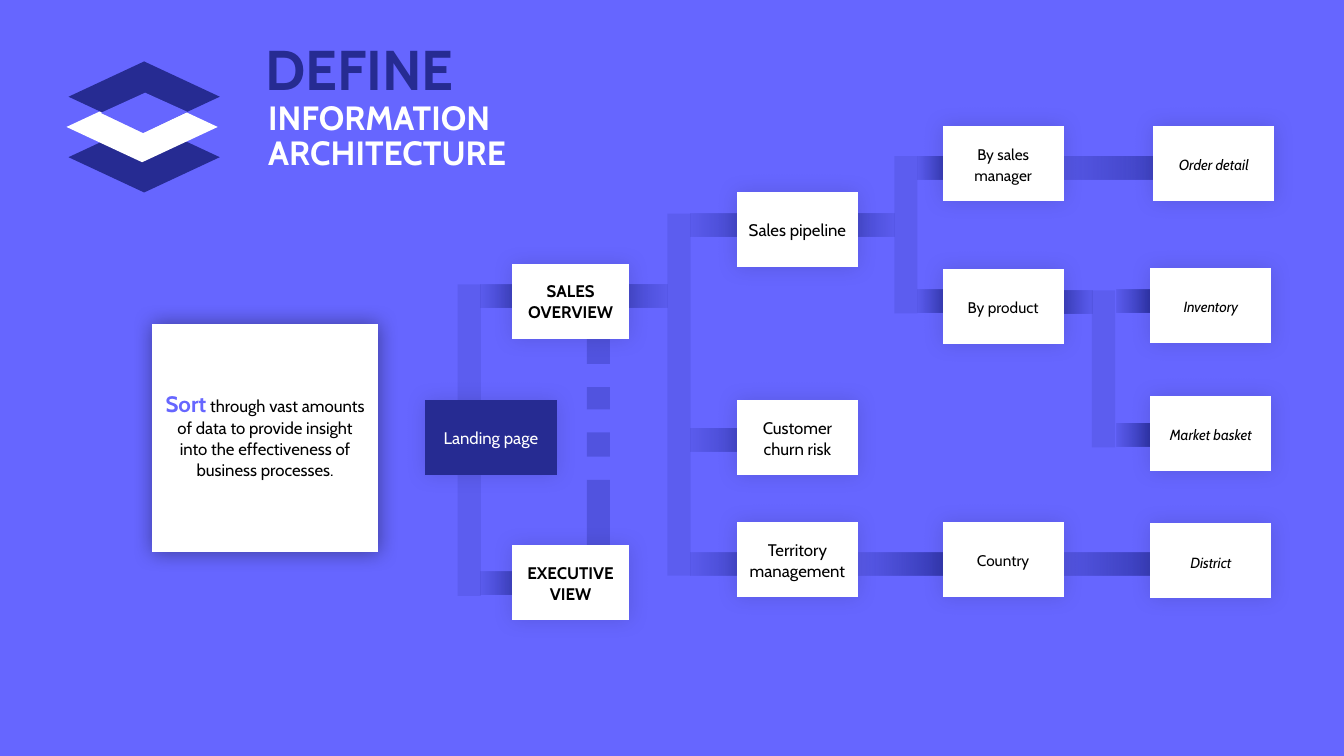
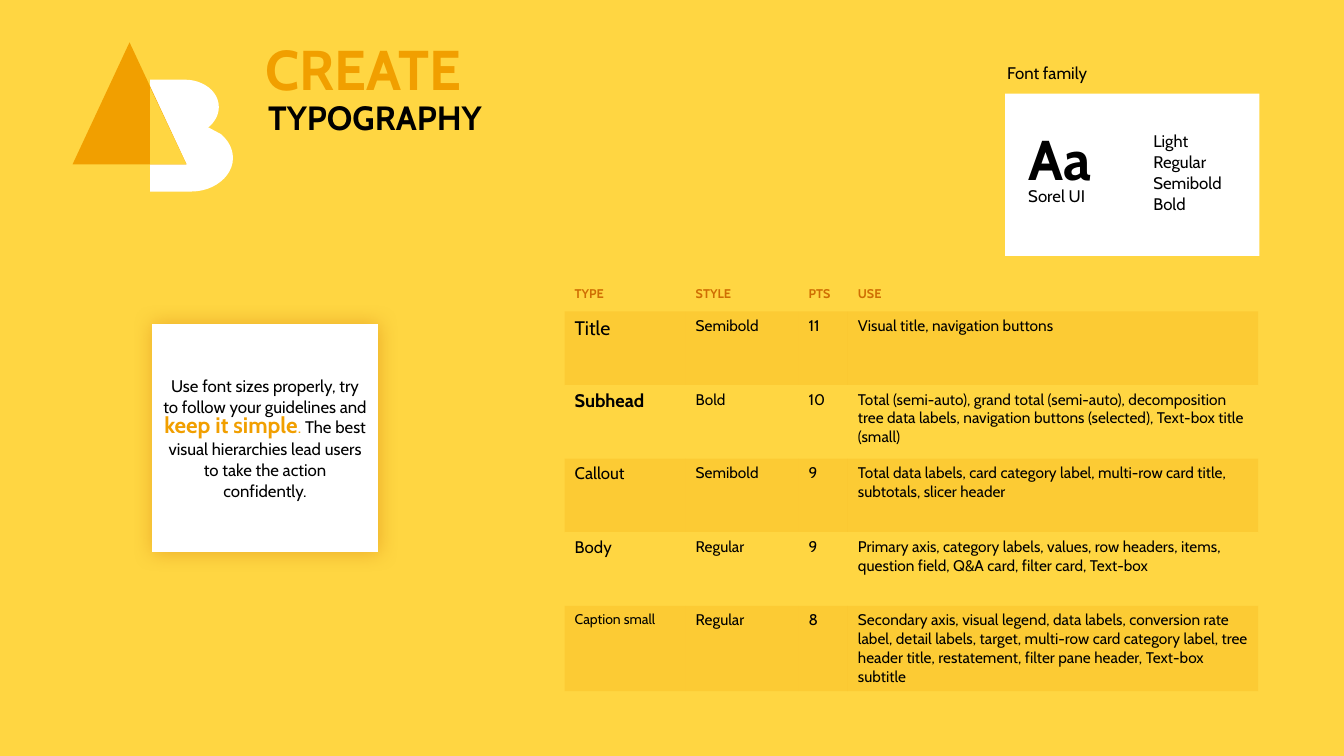
from lxml import etree
from pptx import Presentation
from pptx import util as u
from pptx.dml.color import RGBColor
from pptx.enum import shapes, text
from pptx.oxml import ns

PX = u.Inches(1) // 100
FONT = "Cabin"
NO_STYLE = "{2D5ABB26-0587-4C30-8999-92F81FD0307C}"

WHITE = RGBColor(0xFF, 0xFF, 0xFF)
BLACK = RGBColor(0x00, 0x00, 0x00)
VIOLET = RGBColor(0x66, 0x66, 0xFF)
NAVY = RGBColor(0x26, 0x2B, 0x92)
INDIGO = RGBColor(0x32, 0x37, 0xAE)
YELLOW = RGBColor(0xFF, 0xD6, 0x42)
ORANGE = RGBColor(0xF1, 0x9F, 0x00)
RUST = RGBColor(0xCF, 0x6E, 0x03)

PRESET = shapes.MSO_SHAPE
ALIGN = text.PP_ALIGN
ANCHOR = text.MSO_ANCHOR

BOX_WIDTH, BOX_HEIGHT, BAR = 120, 74, 23


def add_child(parent, tag, **attributes):
    child = etree.SubElement(parent, ns.qn(tag))
    for name, value in attributes.items():
        child.set(name, str(value))
    return child


def set_alpha(colour_element, percent):
    add_child(colour_element, "a:alpha", val=percent * 1000)


def flatten(start, segments, steps=12):
    """Turn lines (x, y) and cubic curves (x1, y1, x2, y2, x, y) into points."""
    points = [start]
    for segment in segments:
        if len(segment) == 2:
            points.append(segment)
            continue
        x0, y0 = points[-1]
        x1, y1, x2, y2, x3, y3 = segment
        for step in range(1, steps + 1):
            t = step / steps
            s = 1 - t
            weights = s ** 3, 3 * s * s * t, 3 * s * t * t, t ** 3
            points.append(tuple(sum(w * v for w, v in zip(weights, values))
                                for values in ((x0, x1, x2, x3), (y0, y1, y2, y3))))
    return points


class Painter:
    """Holds the deck, its style and the page being drawn."""

    def __init__(self):
        self.deck = Presentation()
        self.deck.slide_width, self.deck.slide_height = 1333 * PX, 750 * PX
        self.page = None

    def start_page(self, background, title, title_colour, subtitle, subtitle_colour):
        self.page = self.deck.slides.add_slide(self.deck.slide_layouts[0])
        self.page.background.fill.solid()
        self.page.background.fill.fore_color.rgb = background
        heading, subheading = self.page.placeholders
        self.place(heading, 253, 3, 337, 129)
        self.set_words(heading, title, 40, title_colour, bold=True, spacing=None)
        self.place(subheading, 256, 96, 290, 80)
        self.set_words(subheading, subtitle, 24, subtitle_colour, bold=True,
                       spacing=25, anchor=ANCHOR.TOP)

    def place(self, shape, x, y, width, height):
        shape.left, shape.top = x * PX, y * PX
        shape.width, shape.height = width * PX, height * PX

    def style(self, para, size, colour, bold=False, italic=False):
        font = para.font
        font.name, font.size, font.color.rgb = FONT, u.Pt(size), colour
        font.bold, font.italic = bold, italic

    def set_words(self, shape, words, size, colour, bold=False, italic=False,
                  align=ALIGN.LEFT, spacing=15, anchor=ANCHOR.MIDDLE):
        frame = shape.text_frame
        frame.word_wrap, frame.auto_size = True, text.MSO_AUTO_SIZE.NONE
        frame.vertical_anchor = anchor
        frame.text = words
        for para in frame.paragraphs:
            para.alignment, para.space_before = align, u.Pt(0)
            if spacing:
                para.line_spacing = u.Pt(spacing)
            self.style(para, size, colour, bold, italic)

    def finish(self, shape, fill):
        """Give a flat fill without line or shadow."""
        shape.shadow.inherit = False
        shape.line.fill.background()
        shape.fill.solid()
        shape.fill.fore_color.rgb = fill
        return shape

    def shape(self, preset, x, y, width, height, fill):
        return self.finish(self.page.shapes.add_shape(
            preset, x * PX, y * PX, width * PX, height * PX), fill)

    def outline(self, fill, start, *segments):
        points = [(x * PX, y * PX) for x, y in flatten(start, segments)]
        builder = self.page.shapes.build_freeform(*points[0], scale=1.0)
        builder.add_line_segments(points[1:], close=True)
        self.finish(builder.convert_to_shape(), fill)

    def label(self, x, y, width, height, words, size=12, bold=False, spacing=15):
        box = self.page.shapes.add_textbox(x * PX, y * PX, width * PX, height * PX)
        self.set_words(box, words, size, BLACK, bold, spacing=spacing)

    def glow(self, shape, colour, percent):
        """Add a soft shadow all around."""
        effects = shape._element.spPr.find(ns.qn("a:effectLst"))
        shadow = add_child(effects, "a:outerShdw", blurRad=u.Pt(15), dist=0,
                           dir=0, algn="ctr", rotWithShape=0)
        set_alpha(add_child(shadow, "a:srgbClr", val=colour), percent)

    def node(self, x, y, words, size=12, width=BOX_WIDTH, fill=WHITE,
             colour=BLACK, bold=False, italic=False):
        box = self.shape(PRESET.FLOWCHART_PROCESS, x, y, width, BOX_HEIGHT, fill)
        self.set_words(box, words, size, colour, bold, italic, ALIGN.CENTER)
        self.glow(box, BLACK, 13)

    def card(self, spans, accent, shadow):
        """Draw the message card; spans are (words, size, coloured, bold)."""
        box = self.shape(PRESET.FLOWCHART_PROCESS, 151, 321, 224, 227, WHITE)
        self.set_words(box, "", 12, BLACK, align=ALIGN.CENTER)
        para = box.text_frame.paragraphs[0]
        for words, size, coloured, bold in spans:
            span = para.add_run()
            span.text = words
            span.font.name, span.font.size, span.font.bold = FONT, u.Pt(size), bold
            span.font.color.rgb = accent if coloured else BLACK
        self.glow(box, shadow, 40)

    def upright_bar(self, x, y, height, percent=19):
        bar = self.shape(PRESET.FLOWCHART_PROCESS, x, y, BAR, height, INDIGO)
        set_alpha(next(bar._element.spPr.iter(ns.qn("a:srgbClr"))), percent)

    def fading_bar(self, x, y, width, dark_right=True):
        bar = self.shape(PRESET.FLOWCHART_PROCESS, x, y, width, BAR, INDIGO)
        bar.rotation = 180 if dark_right else 0
        bar.fill.gradient()
        bar.fill.gradient_angle = 0
        for stop, position in zip(bar.fill.gradient_stops, (0.2, 1)):
            stop.position, stop.color.rgb = position, INDIGO
        set_alpha(list(bar._element.spPr.iter(ns.qn("a:srgbClr")))[-1], 20)

    def table(self, x, y, widths, heights, rows, paint_cell):
        frame = self.page.shapes.add_table(
            len(rows), len(widths), x * PX, y * PX, sum(widths) * PX, sum(heights) * PX)
        table = frame.table
        table.first_row = table.horz_banding = False
        table._tbl.tblPr.find(ns.qn("a:tableStyleId")).text = NO_STYLE
        for column, width in zip(table.columns, widths):
            column.width = width * PX
        for row, height in zip(table.rows, heights):
            row.height = height * PX
        for r, row in enumerate(rows):
            for c, words in enumerate(row):
                cell = table.cell(r, c)
                cell.text = words
                paint_cell(cell, r, c)


def draw_architecture(painter):
    painter.start_page(VIOLET, "DEFINE", NAVY, "INFORMATION ARCHITECTURE", WHITE)
    for x, y, fill in ((68, 121, NAVY), (66, 91, WHITE), (68, 61, NAVY)):
        painter.shape(PRESET.FLOWCHART_DECISION, x, y, 150, 70, fill)
    painter.outline(VIOLET, (144, 92), (186, 111), (142, 132), (100, 112))
    painter.card([("Sort", 16, True, True),
                  (" through vast amounts of data to provide insight into the "
                   "effectiveness of business processes.", 12, False, False)],
                 VIOLET, BLACK)

    for x, y, width in ((477, 282, 60), (477, 567, 60), (685, 212, 120),
                        (685, 425, 120), (685, 548, 120), (849, 548, 120),
                        (910, 155, 41), (910, 287, 41), (1033, 155, 218),
                        (1033, 548, 170), (1107, 287, 41), (1107, 420, 41)):
        painter.fading_bar(x, y, width)
    for x, y, width in ((560, 282, 102), (785, 212, 102), (1033, 288, 51)):
        painter.fading_bar(x, y, width, dark_right=False)
    for x, y, height in ((454, 282, 309), (662, 212, 359),
                         (887, 155, 156), (1083, 288, 156)):
        painter.upright_bar(x, y, height)
    for top, bottom in ((336, 361), (384, 406), (429, 453), (476, 541)):
        painter.upright_bar(582, top, bottom - top, percent=39)

    painter.node(422, 397, "Landing page", width=130, fill=NAVY, colour=WHITE)
    for y, words in ((262, "SALES OVERVIEW"), (541, "EXECUTIVE VIEW")):
        painter.node(508, y, words, width=116, bold=True)
    for y, words in ((191, "Sales pipeline"), (397, "Customer churn risk"),
                     (518, "Territory management")):
        painter.node(731, y, words)
    for y, words in ((125, "By sales manager"), (267, "By product"), (518, "Country")):
        painter.node(935, y, words, size=11)
    for x, y, words in ((1144, 125, "Order detail"), (1141, 266, "Inventory"),
                        (1141, 393, "Market basket"), (1141, 519, "District")):
        painter.node(x, y, words, size=10.5, italic=True)


def draw_typography(painter):
    painter.start_page(YELLOW, "CREATE", ORANGE, "TYPOGRAPHY", BLACK)
    painter.outline(WHITE, (149, 79), (183, 79), (202, 79, 217, 91, 217, 106),
                    (217, 114, 213, 121, 207, 126), (206, 126), (219, 133),
                    (226, 139, 231, 147, 231, 157), (231, 175, 212, 190, 190, 190),
                    (149, 190))
    painter.shape(PRESET.ISOSCELES_TRIANGLE, 72, 42, 113, 121, ORANGE)
    painter.outline(YELLOW, (149, 87), (185, 163), (149, 163))
    painter.card([("Use font sizes properly, try to follow your guidelines and ",
                   12, False, False),
                  ("keep it simple", 16, True, True), (". ", 12, True, False),
                  ("The best visual hierarchies lead users to take the action "
                   "confidently.", 12, False, False)], ORANGE, RUST)

    painter.shape(PRESET.RECTANGLE, 997, 93, 252, 161, WHITE)
    painter.label(989, 57, 224, 29, "Font family")
    painter.label(1010, 101, 110, 111, "Aa", size=40, bold=True, spacing=None)
    painter.label(1010, 174, 224, 39, "Sorel UI")
    painter.label(1134, 118, 110, 106, "Light\nRegular\nSemibold\nBold")

    rows = [
        ("TYPE", "STYLE", "PTS", "USE"),
        ("Title", "Semibold", "11", "Visual title, navigation buttons"),
        ("Subhead", "Bold", "10",
         "Total (semi-auto), grand total (semi-auto), decomposition tree data "
         "labels, navigation buttons (selected), Text-box title (small)"),
        ("Callout", "Semibold", "9",
         "Total data labels, card category label, multi-row card title, "
         "subtotals, slicer header"),
        ("Body", "Regular", "9",
         "Primary axis, category labels, values, row headers, items, question "
         "field, Q&A card, filter card, Text-box"),
        ("Caption small", "Regular", "8",
         "Secondary axis, visual legend, data labels, conversion rate label, "
         "detail labels, target, multi-row card category label, tree header "
         "title, restatement, filter pane header, Text-box subtitle"),
    ]
    sample_sizes = (9, 14, 13, 12, 12, 10)

    def paint_cell(cell, row, column):
        header, shaded = row == 0, row % 2 == 1
        size = sample_sizes[row] if header or column == 0 else 11
        bold = header or cell.text == "Subhead"
        painter.style(cell.text_frame.paragraphs[0], size,
                      RUST if header else BLACK, bold)
        cell.fill.solid()
        cell.fill.fore_color.rgb = ORANGE if shaded else YELLOW
        if shaded:
            set_alpha(next(cell._tc.tcPr.iter(ns.qn("a:srgbClr"))), 20)

    painter.table(560, 279, (120, 112, 49, 407), (30, 73, 73, 73, 73, 84),
                  rows, paint_cell)


def main():
    painter = Painter()
    draw_architecture(painter)
    draw_typography(painter)
    painter.deck.save("out.pptx")


if __name__ == "__main__":
    main()
